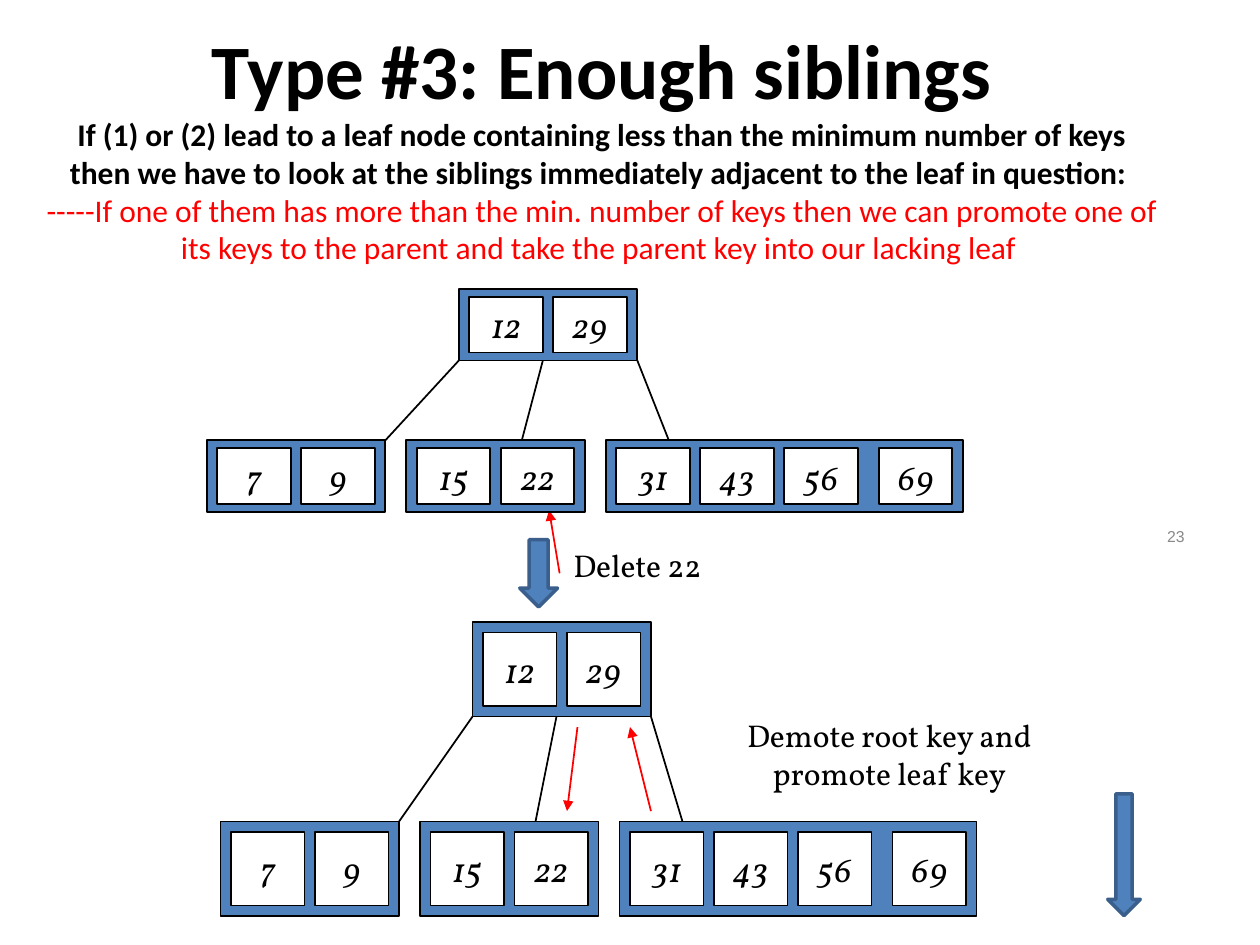
from lxml.etree import SubElement
from pptx import Presentation
from pptx.dml.color import RGBColor
from pptx.enum.shapes import MSO_CONNECTOR, MSO_SHAPE
from pptx.enum.text import MSO_ANCHOR, PP_ALIGN
from pptx.oxml.ns import qn
from pptx.util import Inches, Pt

COLS, ROWS = 120, 90
WIDTH, HEIGHT = Inches(10), Inches(7.5)
BLUE, EDGE, RED, BLACK, WHITE, GREY = "4F81BD", "3A5F8C", "FF0000", "000000", "FFFFFF", "898989"
SERIF = "Vollkorn"
NODES = [
    (24, 0, 17, {1: "12", 9: "29"}),
    (0, 19, 17, {1: "7", 9: "9"}),
    (19, 19, 17, {1: "15", 9: "22"}),
    (38, 19, 34, {1: "31", 9: "43", 17: "56", 26: "69"}),
]
BRANCHES = [(24, 17), (32, 30), (41, 44)]


def rgb(value):
    """Turn a hex string into a colour."""
    return RGBColor.from_string(value)


def place(*cells):
    """Turn alternating columns and rows into slide lengths."""
    return [int(c * (HEIGHT / ROWS if i % 2 else WIDTH / COLS)) for i, c in enumerate(cells)]


def add_run(p, text, size=18, font=SERIF, color=BLACK, bold=False, italic=False):
    """Append formatted text to a paragraph."""
    r = p.add_run()
    r.text = text
    r.font.size, r.font.name = Pt(size), font
    r.font.bold, r.font.italic = bold, italic
    r.font.color.rgb = rgb(color)


def write(sp, text, align=PP_ALIGN.CENTER, **style):
    """Fill a shape with one paragraph per line of text."""
    tf = sp.text_frame
    tf.word_wrap = True
    tf.vertical_anchor = MSO_ANCHOR.MIDDLE
    for i, line in enumerate(text.split("\n")):
        p = tf.add_paragraph() if i else tf.paragraphs[0]
        p.alignment = align
        add_run(p, line, **style)


def add_label(shapes, cells, text, **style):
    """Add a text box on the grid."""
    write(shapes.add_textbox(*place(*cells)), text, **style)


def add_block(shapes, kind, cells, fill, line=BLACK, width=1):
    """Add a filled and outlined preset shape."""
    sp = shapes.add_shape(kind, *place(*cells))
    sp.shadow.inherit = False
    sp.fill.solid()
    sp.fill.fore_color.rgb = rgb(fill)
    sp.line.color.rgb = rgb(line)
    sp.line.width = Pt(width)
    return sp


def add_line(shapes, cells, color=BLACK, arrow=False):
    """Add a straight connector, with an arrowhead at its end if asked."""
    c = shapes.add_connector(MSO_CONNECTOR.STRAIGHT, *place(*cells))
    c.line.color.rgb = rgb(color)
    c.line.width = Pt(1)
    if arrow:
        SubElement(c.line._get_or_add_ln(), qn("a:tailEnd"), type="triangle")
    SubElement(c._element.spPr, qn("a:effectLst"))


def add_tree(s, left, top, scale):
    """Draw the tree with its rows scaled by a factor."""
    shapes = s.shapes.add_group_shape().shapes
    for x, y, w, keys in NODES:
        x, y = left + x, top + y * scale
        add_block(shapes, MSO_SHAPE.RECTANGLE, (x, y, w, 9 * scale), BLUE)
        for offset, key in keys.items():
            cells = (x + offset, y + scale, 7, 7 * scale)
            sp = add_block(shapes, MSO_SHAPE.RECTANGLE, cells, WHITE)
            write(sp, key, size=20, italic=True)
    for start, end in BRANCHES:
        add_line(shapes, (left + start, top + 9 * scale, left + end, top + 19 * scale))


def add_title(s):
    """Add the heading and its explanation as one paragraph with breaks."""
    sp = s.shapes.add_textbox(*place(3, 6.2, 108.7, 17.4))
    tf = sp.text_frame
    tf.word_wrap = True
    tf.vertical_anchor = MSO_ANCHOR.MIDDLE
    tf.margin_bottom = Inches(0.24)
    p = tf.paragraphs[0]
    p.alignment = PP_ALIGN.CENTER
    add_run(p, "Type #3: Enough siblings", size=44, font="Calibri", bold=True)
    p.add_line_break()
    add_run(p, "If (1) or (2) lead to a leaf node containing less than the minimum number of keys "
               "then we have to look at the siblings immediately adjacent to the leaf in question: ",
            font="Calibri", bold=True)
    p.add_line_break()
    add_run(p, "-----If one of them has more than the min. number of keys then we can promote one of "
               "its keys to the parent and take the parent key into our lacking leaf ",
            font="Calibri", color=RED)


def add_swap(s):
    """Show the root key moving down and the leaf key moving up."""
    shapes = s.shapes.add_group_shape().shapes
    add_line(shapes, (62, 77.25, 60, 69.25), RED, arrow=True)
    add_line(shapes, (55, 69.25, 54, 77.25), RED, arrow=True)
    add_label(shapes, (68, 67.2, 33.4, 9.2), "Demote root key and\npromote leaf key")


def main():
    """Build the slide and save it."""
    prs = Presentation()
    prs.slide_width, prs.slide_height = WIDTH, HEIGHT
    s = prs.slides.add_slide(prs.slide_layouts[6])
    add_title(s)
    add_label(s.shapes, (86, 48.7, 28, 4.8), "23", align=PP_ALIGN.RIGHT,
              size=9, font="Arial", color=GREY)
    add_tree(s, 21, 59.25, 1)
    add_swap(s)
    add_line(s.shapes, (53.3, 54.6, 52.3, 48.6), RED, arrow=True)
    add_label(s.shapes, (44, 51.4, 33.4, 4.8), "Delete 22")
    for cells in [(49.5, 51.4, 3.6, 6.4), (105.5, 75.6, 3.1, 11.6)]:
        add_block(s.shapes, MSO_SHAPE.DOWN_ARROW, cells, BLUE, EDGE, 2)
    add_tree(s, 19.7, 27.5, 0.76)
    prs.save("out.pptx")


if __name__ == "__main__":
    main()
